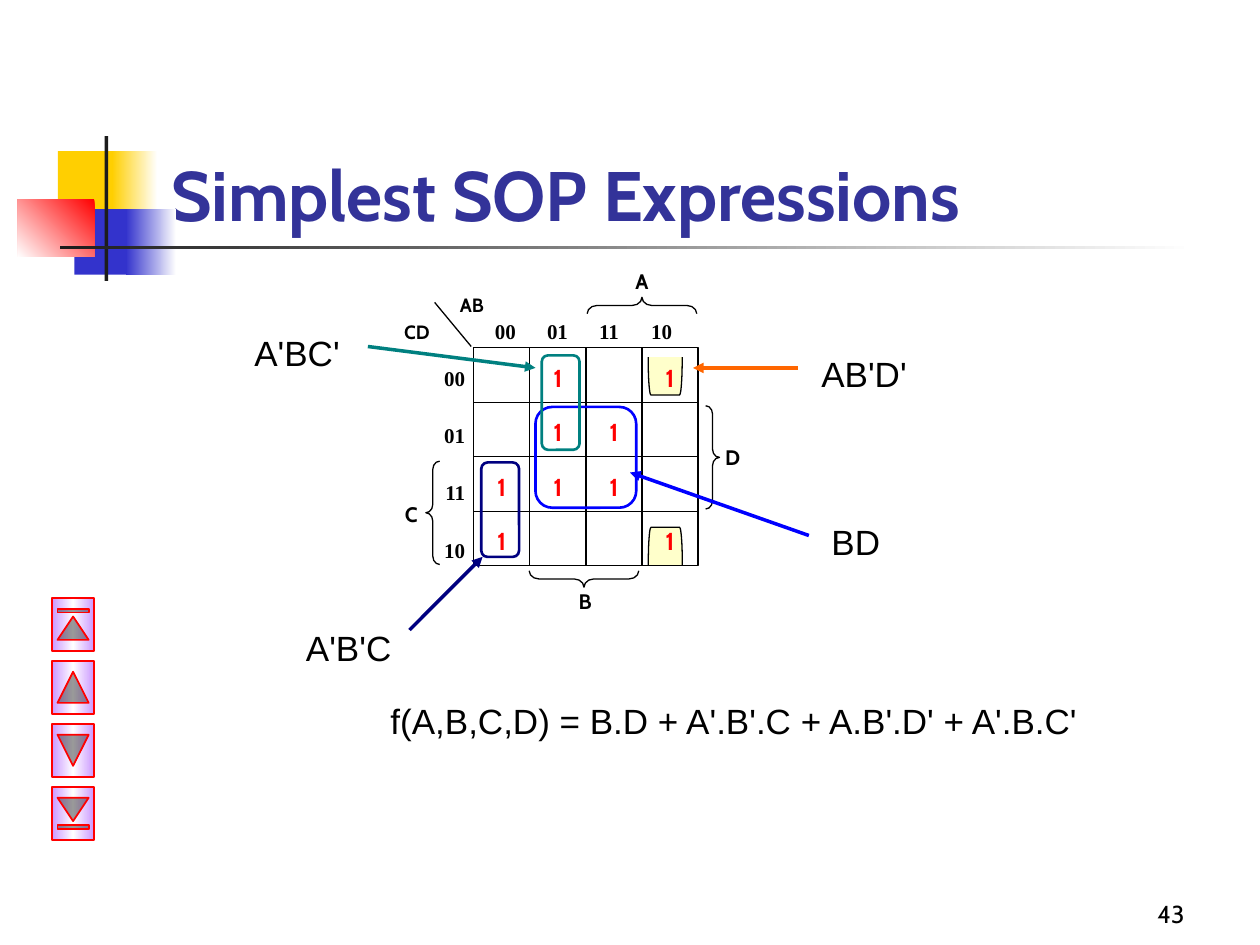
from dataclasses import dataclass
from lxml.etree import SubElement
from pptx import Presentation
from pptx.dml.color import RGBColor
from pptx.enum.shapes import MSO_CONNECTOR, MSO_SHAPE
from pptx.enum.text import MSO_ANCHOR, PP_ALIGN
from pptx.oxml import parse_xml
from pptx.oxml.ns import nsdecls, qn
from pptx.util import Inches, Pt


@dataclass(frozen=True)
class Theme:
    black: str = "000000"
    white: str = "FFFFFF"
    dark: str = "1C1C1C"
    gold: str = "FFCF01"
    blue: str = "3333CC"
    red: str = "FF0000"
    title: str = "333399"
    cream: str = "FFFF99"
    lilac: str = "CC99FF"
    royal: str = "0000FF"
    navy: str = "000080"
    teal: str = "008080"
    orange: str = "FF6600"
    head: str = "Cabin"
    body: str = "Arial"
    serif: str = "Times New Roman"
    big: int = 40
    term: int = 20
    one: int = 14
    label: int = 12
    small: int = 11


T = Theme()
LEFT, MID, RIGHT = PP_ALIGN.LEFT, PP_ALIGN.CENTER, PP_ALIGN.RIGHT


def inch(*nums):
    return [Inches(n) for n in nums]


def shape(slide, kind, box, fill=None, line=None, width=0.75, adj=None, turn=0):
    item = slide.shapes.add_shape(kind, *inch(*box))
    item.shadow.inherit = False
    item.rotation = turn
    if adj is not None:
        item.adjustments[0] = adj
    if fill:
        item.fill.solid()
        item.fill.fore_color.rgb = RGBColor.from_string(fill)
    else:
        item.fill.background()
    if line:
        item.line.color.rgb = RGBColor.from_string(line)
        item.line.width = Pt(width)
    else:
        item.line.fill.background()
    return item


def blend(item, colors, angle):
    """Swap the fill for evenly spaced gradient stops."""
    props = item.element.spPr
    props.remove(props.find(qn("a:noFill")))
    step = 100000 // (len(colors) - 1)
    stops = "".join(f'<a:gs pos="{i * step}"><a:srgbClr val="{c}"/></a:gs>'
                    for i, c in enumerate(colors))
    props.find(qn("a:prstGeom")).addnext(parse_xml(
        f'<a:gradFill {nsdecls("a")} rotWithShape="1"><a:gsLst>{stops}</a:gsLst>'
        f'<a:lin ang="{angle * 60000}" scaled="0"/></a:gradFill>'))


def line(slide, start, end, color=T.black, width=0.75, arrow=False):
    item = slide.shapes.add_connector(MSO_CONNECTOR.STRAIGHT, *inch(*start, *end))
    item.line.color.rgb = RGBColor.from_string(color)
    item.line.width = Pt(width)
    if arrow:
        SubElement(item.line._get_or_add_ln(), qn("a:tailEnd"), type="triangle")
    SubElement(item._element.spPr, qn("a:effectLst"))
    return item


def style(frame, font, size, color, bold, align):
    for para in frame.paragraphs:
        para.alignment = align
        for run in para.runs:
            run.font.name, run.font.size, run.font.bold = font, Pt(size), bold
            run.font.color.rgb = RGBColor.from_string(color)


def text(slide, words, box, font=T.head, size=T.label, color=T.black, bold=True, align=MID):
    frame = slide.shapes.add_textbox(*inch(*box)).text_frame
    frame.word_wrap = True
    frame.text = words
    style(frame, font, size, color, bold, align)
    return frame


def banner(slide, box):
    """Colour blocks, rules and the title."""
    x, y, w, h = box
    rect = MSO_SHAPE.RECTANGLE
    for dx, dy, wide, fade, color in ((0.32, 0.12, 0.48, 0.36, T.gold),
                                      (0.45, 0.58, 0.46, 0.4, T.blue)):
        shape(slide, rect, (x + dx, y + dy, wide, 0.52), color)
        part = shape(slide, rect, (x + dx + wide - 0.05, y + dy, fade, 0.52))
        blend(part, (T.white, color), 180)
    blend(shape(slide, rect, (x, y + 0.5, 0.61, 0.46)), (T.red, T.white), 135)
    shape(slide, rect, (x + 0.69, y, 0.03, h), T.dark)
    rule = shape(slide, rect, (x + 0.34, y + 0.87, w - 0.34, 0.03))
    blend(rule, (T.white, T.dark), 180)

    title = slide.shapes.title
    title.left, title.top, title.width, title.height = inch(x + 1.12, y - 0.41, 8.52, 1.25)
    frame = title.text_frame
    frame.text = "Simplest SOP Expressions"
    frame.vertical_anchor = MSO_ANCHOR.BOTTOM
    style(frame, T.head, T.big, T.title, True, LEFT)


def kmap(slide, box):
    """Karnaugh map: grid, headings, ones and loops."""
    x, y, w, h = box
    dx, dy = w / 4, h / 4

    # Halves of the loop that wraps from top to bottom
    for top, turn in ((y + 1.44, 90), (y + 0.09, 270)):
        half = shape(slide, MSO_SHAPE.LEFT_BRACKET, (x + 1.37, top, 0.3, 0.27),
                     T.cream, T.black, adj=0.08, turn=turn)
        tint = half.element.spPr.find(qn("a:solidFill"))[0]
        SubElement(tint, qn("a:alpha"), val="50000")

    # Grid, with the middle lines joined to the frame
    frame = shape(slide, MSO_SHAPE.RECTANGLE, box, line=T.black)
    for i in range(1, 4):
        across = line(slide, (x, y + i * dy), (x + w, y + i * dy))
        down = line(slide, (x + i * dx, y), (x + i * dx, y + h))
        if i == 2:
            across.begin_connect(frame, 1)
            across.end_connect(frame, 3)
            down.begin_connect(frame, 0)
            down.end_connect(frame, 2)

    # Row and column codes
    codes = ("00", "01", "11", "10")
    rows = text(slide, "\n".join(codes), (x - 0.36, y + 0.09, 0.39, 1.79),
                T.serif, align=RIGHT)
    for para in rows.paragraphs:
        para.space_after = Pt(18.3)
    cols = text(slide, "\t".join(codes), (x + 0.07, y - 0.28, w, 0.35),
                T.serif, align=LEFT)
    tabs = SubElement(cols.paragraphs[0]._p.get_or_add_pPr(), qn("a:tabLst"))
    for i in range(1, 4):
        SubElement(tabs, qn("a:tab"), pos=str(Inches(0.413 * i)), algn="l")
    line(slide, (x - 0.02, y - 0.01), (x - 0.31, y - 0.36))
    text(slide, "CD", (x - 0.76, y - 0.27, 0.62, 0.29), size=T.small)
    text(slide, "AB", (x - 0.27, y - 0.48, 0.51, 0.29), size=T.small)

    # Braces with the variable each one spans
    left, right = MSO_SHAPE.LEFT_BRACE, MSO_SHAPE.RIGHT_BRACE
    for name, kind, spot, turn, at in (
            ("A", left, (1.27, -0.77, 0.13, 0.87), 90, (1.17, -0.68)),
            ("B", left, (0.81, 1.4, 0.13, 0.87), 270, (0.72, 1.86)),
            ("C", left, (-0.38, 0.9, 0.11, 0.82), 0, (-0.66, 1.17)),
            ("D", right, (1.84, 0.46, 0.11, 0.82), 0, (1.89, 0.72))):
        shape(slide, kind, (x + spot[0], y + spot[1], *spot[2:]),
              line=T.black, adj=0.6, turn=turn)
        text(slide, name, (x + at[0], y + at[1], 0.33, 0.3))

    # Ones as (row, column)
    for row, col in ((0, 1), (0, 3), (1, 1), (1, 2), (2, 0), (2, 1), (2, 2), (3, 0), (3, 3)):
        text(slide, "1", (x + col * dx, y + 0.07 + row * dy, dx, 0.35),
             size=T.one, color=T.red)

    # Loops
    for lx, ly, lw, lh, color in ((0.49, 0.47, 0.8, 0.8, T.royal),
                                  (0.06, 0.91, 0.3, 0.75, T.navy),
                                  (0.54, 0.06, 0.3, 0.75, T.teal)):
        shape(slide, MSO_SHAPE.ROUNDED_RECTANGLE, (x + lx, y + ly, lw, lh),
              line=color, width=1.5, adj=0.167)


def terms(slide, box):
    """Product terms with arrows to their loops, and the sum."""
    x, y, w, h = box
    for words, at, start, end, color in (
            ("BD", (4.58, 1.5), (4.5, 1.67), (3.08, 1.17), T.royal),
            ("AB'D'", (4.5, 0.17), (4.41, 0.34), (3.58, 0.34), T.orange),
            ("A'BC'", (0, 0), (1, 0.17), (2.33, 0.34), T.teal),
            ("A'B'C", (0.41, 2.34), (1.33, 2.42), (1.91, 1.84), T.navy)):
        line(slide, (x + start[0], y + start[1]), (x + end[0], y + end[1]), color, 2, True)
        text(slide, words, (x + at[0], y + at[1], 0.92, 0.44), T.body, T.term,
             bold=False, align=LEFT)
    text(slide, "f(A,B,C,D) = B.D + A'.B'.C + A.B'.D' + A'.B.C'",
         (x + 1.08, y + h - 0.44, w - 1.08, 0.44), T.body, T.term, bold=False, align=LEFT)


def buttons(slide, box):
    """Column of navigation buttons, each turned a quarter."""
    x, y, w, h = box
    kinds = (MSO_SHAPE.ACTION_BUTTON_BEGINNING, MSO_SHAPE.ACTION_BUTTON_BACK_OR_PREVIOUS,
             MSO_SHAPE.ACTION_BUTTON_FORWARD_OR_NEXT, MSO_SHAPE.ACTION_BUTTON_END)
    for i, kind in enumerate(kinds):
        item = shape(slide, kind, (x, y + i * (h - 0.33) / 3, w, 0.33),
                     line=T.red, width=1, turn=90)
        blend(item, (T.lilac, T.white, T.lilac), 90)


def number(slide, box):
    """Slide number."""
    frame = text(slide, "43", box, size=T.one, bold=False, align=RIGHT)
    frame.vertical_anchor = MSO_ANCHOR.BOTTOM


def main():
    deck = Presentation()
    deck.slide_width, deck.slide_height = inch(10, 7.5)
    slide = deck.slides.add_slide(deck.slide_layouts[5])
    banner(slide, (0.14, 1.08, 9.34, 1.15))
    kmap(slide, (3.76, 2.76, 1.78, 1.73))
    terms(slide, (1.92, 2.58, 6.83, 3.36))
    buttons(slide, (0.37, 4.79, 0.42, 1.83))
    number(slide, (7.42, 6.92, 2.08, 0.5))
    deck.save("out.pptx")


if __name__ == "__main__":
    main()
